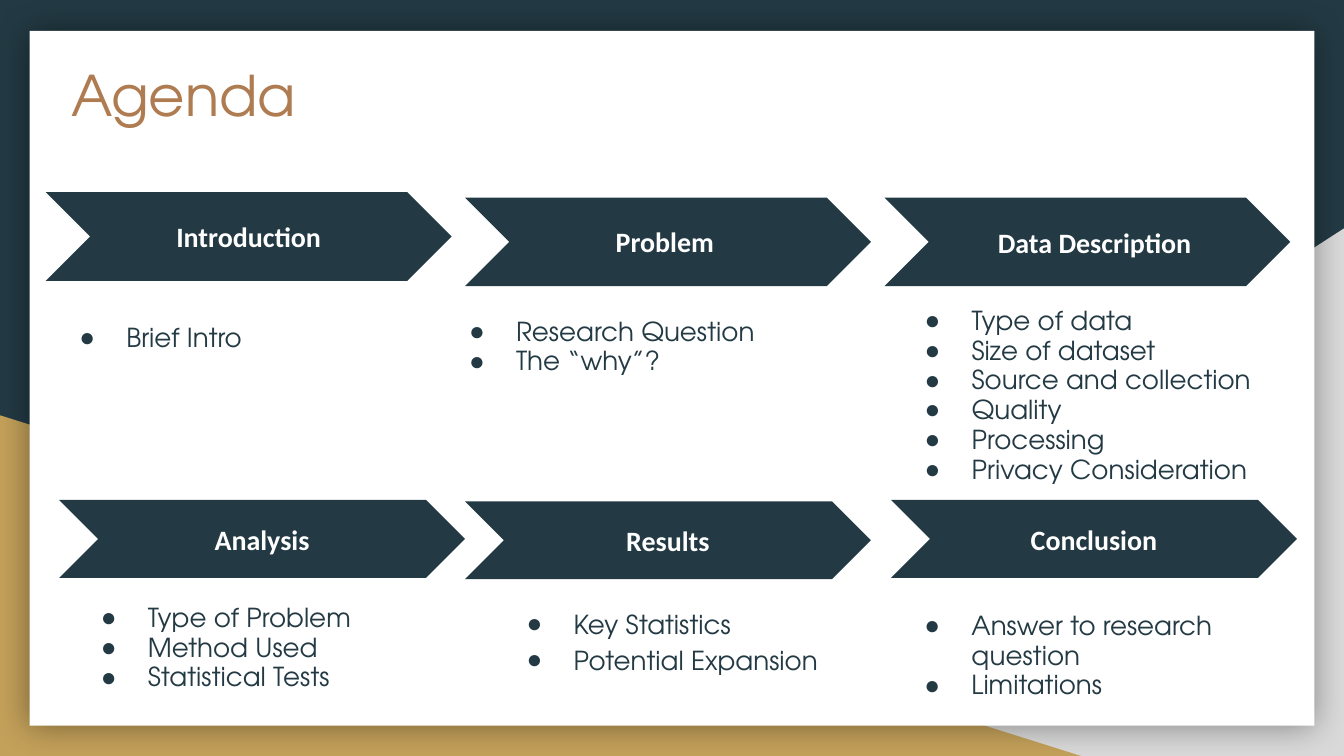
from dataclasses import dataclass

from lxml import etree
from pptx import Presentation
from pptx.dml.color import RGBColor
from pptx.enum.shapes import MSO_SHAPE
from pptx.enum.text import MSO_ANCHOR, MSO_AUTO_SIZE, PP_ALIGN
from pptx.oxml.ns import qn
from pptx.util import Inches, Pt

CHEVRON, TRIANGLE, RECTANGLE = MSO_SHAPE.CHEVRON, MSO_SHAPE.RIGHT_TRIANGLE, MSO_SHAPE.RECTANGLE
TOP, MIDDLE = MSO_ANCHOR.TOP, MSO_ANCHOR.MIDDLE
LEFT, CENTER = PP_ALIGN.LEFT, PP_ALIGN.CENTER
NO_AUTOFIT = MSO_AUTO_SIZE.NONE

NAVY, GOLD, GRAY, WHITE, BRONZE = "233A44", "C4A15A", "D9D9D9", "FFFFFF", "AF7B51"
BODY_FONT, LABEL_FONT, BULLET_FONT = "TeX Gyre Adventor", "Calibri", "Arial"
COMPARISON_LAYOUT = 4
CHEVRON_WIDTH = 3.02


@dataclass(frozen=True)
class Area:
    left: float
    top: float
    width: float
    height: float

    def lengths(self) -> list:
        return [Inches(v) for v in (self.left, self.top, self.width, self.height)]


@dataclass(frozen=True)
class Stage:
    label: str
    left: float
    top: float
    height: float
    list_area: Area
    items: tuple[str, ...]
    spacing: float = 0.95
    label_area: Area | None = None
    label_anchor: int = MIDDLE


STAGES = (
    Stage("Introduction", 0.34, 1.43, 0.66, Area(0.34, 2.26, 2.7, 1.37),
          ("Brief Intro",), spacing=1.15),
    Stage("Problem ", 3.46, 1.47, 0.66, Area(3.24, 2.26, 3.52, 1.37),
          ("Research Question", "The “why”?"),
          label_area=Area(3.83, 1.57, 2.28, 0.45), label_anchor=TOP),
    Stage("Data Description", 6.58, 1.47, 0.66, Area(6.63, 2.18, 2.9, 1.55),
          ("Type of data", "Size of dataset", "Source and collection",
           "Quality", "Processing", "Privacy Consideration"),
          label_area=Area(6.88, 1.47, 2.53, 0.66)),
    Stage("Analysis", 0.44, 3.72, 0.58, Area(0.5, 4.39, 2.9, 0.89),
          ("Type of Problem", "Method Used", "Statistical Tests")),
    Stage("Results", 3.46, 3.73, 0.58, Area(3.67, 4.39, 2.9, 0.89),
          ("Key Statistics", "Potential Expansion"), spacing=1.15),
    Stage("Conclusion", 6.63, 3.72, 0.58, Area(6.63, 4.45, 2.9, 0.89),
          ("Answer to research question", "Limitations")),
)


def color(value: str) -> RGBColor:
    return RGBColor.from_string(value)


def add_block(page, kind: int, area: Area, fill: str):
    block = page.shapes.add_shape(kind, *area.lengths())
    block.shadow.inherit = False
    block.fill.solid()
    block.fill.fore_color.rgb = color(fill)
    block.line.fill.background()
    return block


def add_glow(block) -> None:
    effects = block._element.spPr.find(qn("a:effectLst"))
    shadow = etree.SubElement(effects, qn("a:outerShdw"), blurRad=str(Pt(18)),
                              dist="0", dir="0", algn="ctr", rotWithShape="0")
    tint = etree.SubElement(shadow, qn("a:srgbClr"), val="000000")
    etree.SubElement(tint, qn("a:alpha"), val="40000")


def add_bullet(para) -> None:
    properties = para._p.get_or_add_pPr()
    properties.set("marL", str(Inches(0.5)))
    properties.set("indent", str(Inches(-0.35)))
    bullet_color = etree.SubElement(properties, qn("a:buClr"))
    etree.SubElement(bullet_color, qn("a:srgbClr"), val=NAVY)
    etree.SubElement(properties, qn("a:buFont"), typeface=BULLET_FONT)
    etree.SubElement(properties, qn("a:buChar"), char="●")


def write(box, lines: tuple[str, ...], *, size: float, font: str, ink: str,
          bold: bool = False, align: int = LEFT, anchor: int = TOP,
          inset: float = 0.1, spacing: float = 1.0, bullets: bool = False) -> None:
    frame = box.text_frame
    frame.word_wrap = True
    frame.auto_size = NO_AUTOFIT
    frame.vertical_anchor = anchor
    frame.margin_left = frame.margin_right = Inches(inset)
    frame.margin_top = frame.margin_bottom = Inches(inset)
    for index, line in enumerate(lines):
        para = frame.add_paragraph() if index else frame.paragraphs[0]
        para.alignment = align
        para.line_spacing = spacing
        para.space_before = para.space_after = Pt(0)
        if bullets:
            add_bullet(para)
        span = para.add_run()
        span.text = line
        span.font.size = Pt(size)
        span.font.name = font
        span.font.bold = bold
        span.font.color.rgb = color(ink)


def place(page, placeholder, area: Area):
    placeholder.left, placeholder.top, placeholder.width, placeholder.height = area.lengths()
    page.shapes._spTree.append(placeholder._element)
    return placeholder


def add_backdrop(page) -> None:
    page.background.fill.solid()
    page.background.fill.fore_color.rgb = color(NAVY)
    corner = add_block(page, TRIANGLE, Area(3.92, 1.7, 6.08, 3.93), GRAY)
    corner._element.spPr.xfrm.set("flipH", "1")
    add_block(page, TRIANGLE, Area(0, 3.09, 8.06, 2.54), GOLD)
    add_glow(add_block(page, RECTANGLE, Area(0.22, 0.23, 9.56, 5.17), WHITE))


def add_stage(page, stage: Stage, bodies: list) -> None:
    area = Area(stage.left, stage.top, CHEVRON_WIDTH, stage.height)
    label_box, inset = add_block(page, CHEVRON, area, NAVY), 0.13
    if stage.label_area:
        label_box, inset = page.shapes.add_textbox(*stage.label_area.lengths()), 0.1
    write(label_box, (stage.label,), size=15, font=LABEL_FONT, ink=WHITE, bold=True,
          align=CENTER, anchor=stage.label_anchor, inset=inset)
    if bodies:
        list_box = place(page, bodies.pop(0), stage.list_area)
    else:
        list_box = page.shapes.add_textbox(*stage.list_area.lengths())
    write(list_box, stage.items, size=14, font=BODY_FONT, ink=NAVY,
          spacing=stage.spacing, bullets=True)


def main() -> None:
    deck = Presentation()
    deck.slide_width = Inches(10)
    deck.slide_height = deck.slide_width * 9 // 16
    page = deck.slides.add_slide(deck.slide_layouts[COMPARISON_LAYOUT])
    title, *bodies = page.placeholders
    add_backdrop(page)
    write(place(page, title, Area(0.43, 0.35, 9.16, 0.8)), ("Agenda",),
          size=30, font=BODY_FONT, ink=BRONZE)
    for stage in STAGES:
        add_stage(page, stage, bodies)
    deck.save("out.pptx")


if __name__ == "__main__":
    main()
